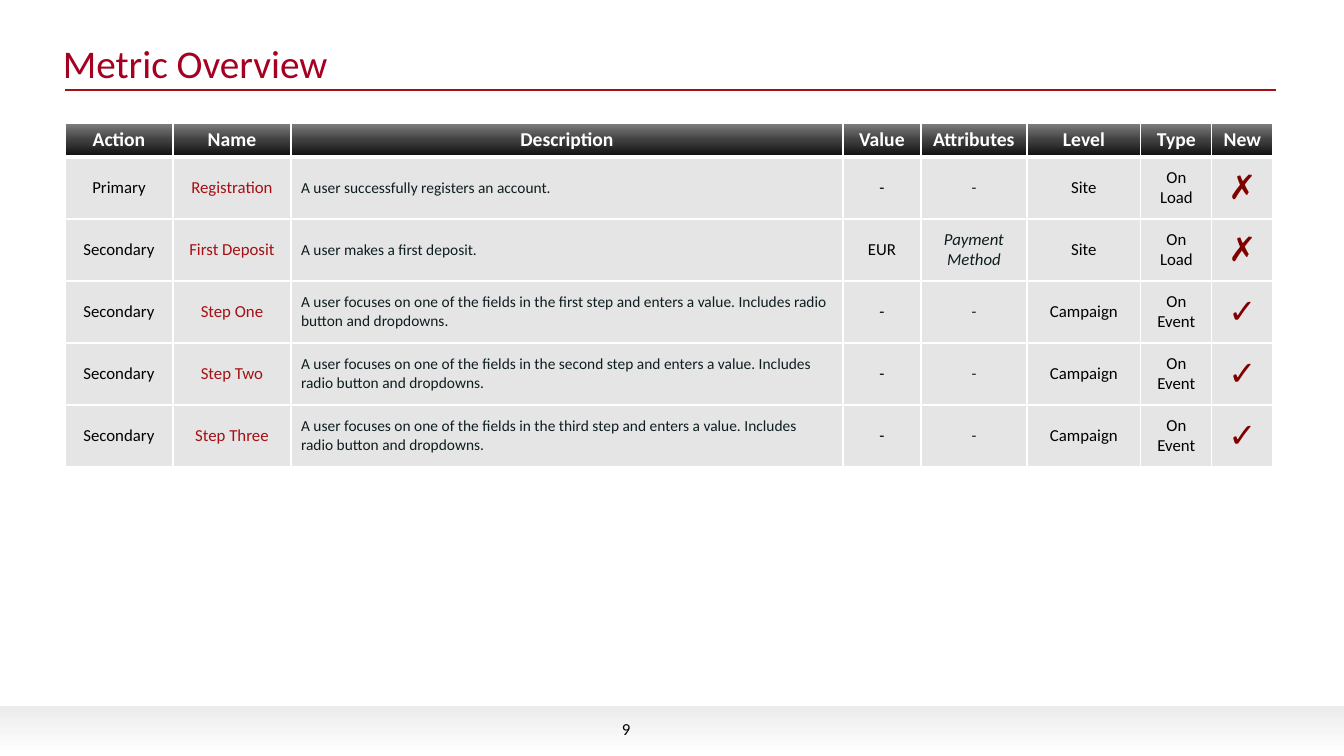
from dataclasses import dataclass
from itertools import product
from lxml import etree
from pptx import Presentation
from pptx import util as u
from pptx.dml.color import RGBColor
from pptx.enum import shapes, text
from pptx.oxml import parse_xml
from pptx.oxml import ns

HEADERS = ["Action", "Name", "Description", "Value", "Attributes", "Level", "Type", "New"]
STEP_TEXT = ("A user focuses on one of the fields in the {} step and enters a value. "
             "Includes radio button and dropdowns.")
METRICS = [
    ("Primary", "Registration", "A user successfully registers an account.",
     "-", "-", "Site", "On Load", "✗"),
    ("Secondary", "First Deposit", "A user makes a first deposit.",
     "EUR", "Payment Method", "Site", "On Load", "✗"),
] + [
    ("Secondary", f"Step {name}", STEP_TEXT.format(order), "-", "-", "Campaign", "On Event", "✓")
    for name, order in (("One", "first"), ("Two", "second"), ("Three", "third"))
]
COL_WIDTHS = [108, 118, 552, 78, 106, 114, 71, 61]
HEADER_H, ROW_H = 34, 62
TABLE_X, TABLE_Y = 65, 123
SLIDE_W, SLIDE_H = 1344, 756
FOOTER_H = 50


@dataclass(frozen=True)
class Theme:
    font: str = "Calibri"
    title: str = "A50021"
    accent: str = "A41014"
    mark: str = "800000"
    ink: str = "0E1E20"
    black: str = "000000"
    white: str = "FFFFFF"
    body_fill: str = "BFBFBF"
    body_alpha: int = 40
    header_stops: tuple = ((0, "0D0D0D"), (50, "404040"), (100, "808080"))
    footer_stops: tuple = ((0, "ECECEC"), (100, "FFFFFF"))
    title_size: int = 28
    header_size: int = 14
    body_size: int = 12
    description_size: int = 11
    mark_size: int = 24


T = Theme()
COLUMN_STYLES = {
    "Name": (T.body_size, T.accent),
    "Description": (T.description_size, T.ink),
    "Attributes": (T.body_size, T.ink),
    "New": (T.mark_size, T.mark),
}


def px(n):
    return u.Emu(round(n * 914400 / 100.8))


def gradient(stops, angle):
    gs = "".join(f'<a:gs pos="{pos * 1000}"><a:srgbClr val="{color}"/></a:gs>'
                 for pos, color in stops)
    return parse_xml(f'<a:gradFill {ns.nsdecls("a")} rotWithShape="1"><a:gsLst>{gs}</a:gsLst>'
                     f'<a:lin ang="{angle * 60000}" scaled="0"/></a:gradFill>')


def solid(color, alpha=100):
    return parse_xml(f'<a:solidFill {ns.nsdecls("a")}><a:srgbClr val="{color}">'
                     f'<a:alpha val="{alpha * 1000}"/></a:srgbClr></a:solidFill>')


def write(tf, words, size, color, bold=False, italic=False, align=text.PP_ALIGN.LEFT):
    p = tf.paragraphs[0]
    p.text = words
    p.alignment = align
    f = p.font
    f.name, f.size, f.bold, f.italic = T.font, u.Pt(size), bold, italic
    f.color.rgb = RGBColor.from_string(color)


def add_text(s, box, words, size, color, anchor):
    tf = s.shapes.add_textbox(*map(px, box)).text_frame
    tf.word_wrap = True
    tf.vertical_anchor = anchor
    write(tf, words, size, color)


def add_footer(s):
    sp = s.shapes.add_shape(shapes.MSO_SHAPE.RECTANGLE, 0, px(SLIDE_H - FOOTER_H),
                            px(SLIDE_W), px(FOOTER_H))
    sp.shadow.inherit = False
    sp.line.fill.background()
    sp.fill.background()
    pr = sp._element.spPr
    pr.replace(pr.find(ns.qn("a:noFill")), gradient(T.footer_stops, 90))


def add_rule(s):
    line = s.shapes.add_connector(shapes.MSO_CONNECTOR.STRAIGHT,
                                  px(65), px(90), px(1276), px(90))
    line.line.color.rgb = RGBColor.from_string(T.accent)
    line.line.width = u.Pt(1.25)
    etree.SubElement(line._element.spPr, ns.qn("a:effectLst"))


def style_cell(cell, row):
    cell.vertical_anchor = text.MSO_ANCHOR.MIDDLE
    pr = cell._tc.get_or_add_tcPr()
    widths = {"L": 1, "R": 1, "T": 3 if row == 1 else 1, "B": 3 if row == 0 else 1}
    for side, width in widths.items():
        ln = etree.SubElement(pr, ns.qn(f"a:ln{side}"), w=str(u.Pt(width)))
        ln.append(solid(T.white))
    pr.append(gradient(T.header_stops, 270) if row == 0 else solid(T.body_fill, T.body_alpha))


def add_metrics(s):
    rows = [HEADERS] + METRICS
    heights = [HEADER_H] + [ROW_H] * len(METRICS)
    table = s.shapes.add_table(len(rows), len(HEADERS), px(TABLE_X), px(TABLE_Y),
                               px(sum(COL_WIDTHS)), px(sum(heights))).table
    table.first_row = table.horz_banding = False
    for column, width in zip(table.columns, COL_WIDTHS):
        column.width = px(width)
    for table_row, height in zip(table.rows, heights):
        table_row.height = px(height)
    for i, j in product(range(len(rows)), range(len(HEADERS))):
        cell, name, words = table.cell(i, j), HEADERS[j], rows[i][j]
        style_cell(cell, i)
        size, color = COLUMN_STYLES.get(name, (T.body_size, T.black))
        if i == 0:
            size, color = T.header_size, T.white
        left = i > 0 and name == "Description"
        write(cell.text_frame, words, size, color, bold=i == 0,
              italic=i > 0 and name == "Attributes",
              align=text.PP_ALIGN.LEFT if left else text.PP_ALIGN.CENTER)


def main():
    prs = Presentation()
    prs.slide_width, prs.slide_height = px(SLIDE_W), px(SLIDE_H)
    s = prs.slides.add_slide(prs.slide_layouts[6])
    add_rule(s)
    add_footer(s)
    add_text(s, (53, 33, 1210, 60), "Metric Overview", T.title_size, T.title,
             text.MSO_ANCHOR.MIDDLE)
    add_text(s, (612, 714, 60, 32), "9", T.body_size, T.black, text.MSO_ANCHOR.TOP)
    add_metrics(s)
    prs.save("out.pptx")


if __name__ == "__main__":
    main()
